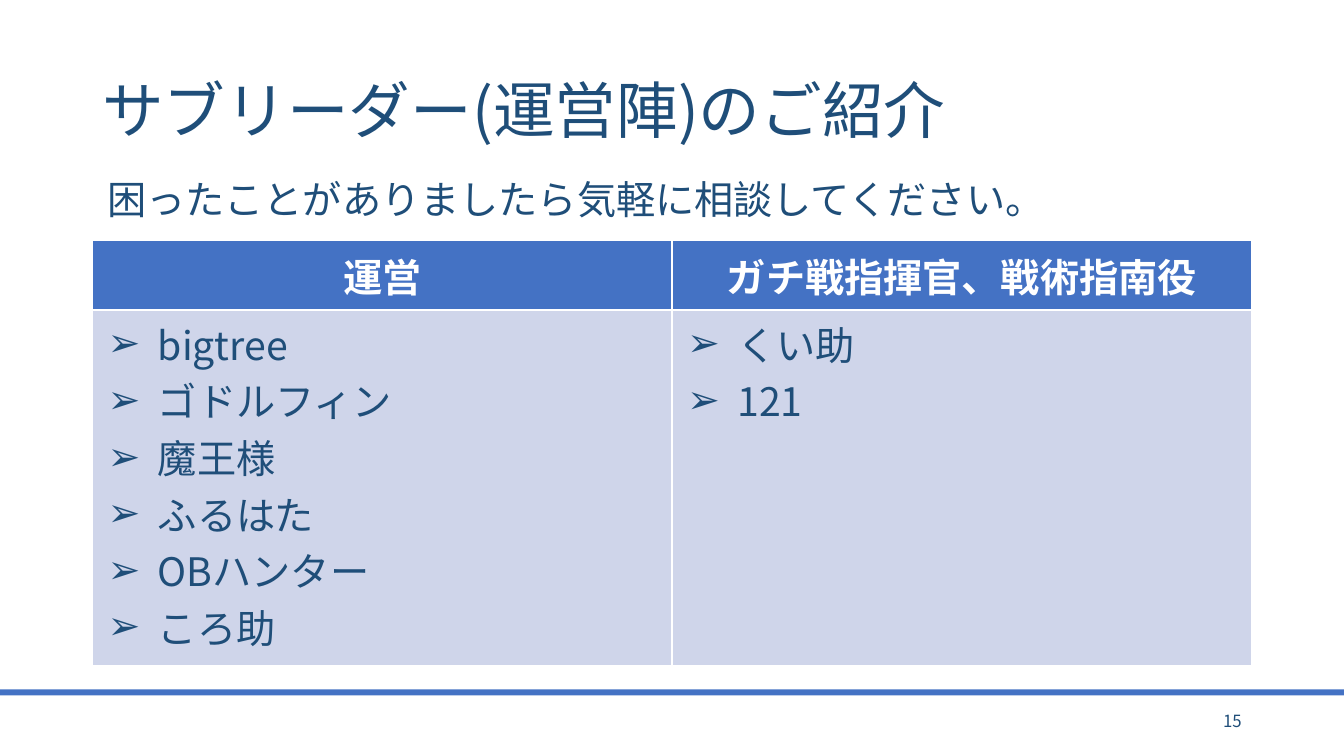
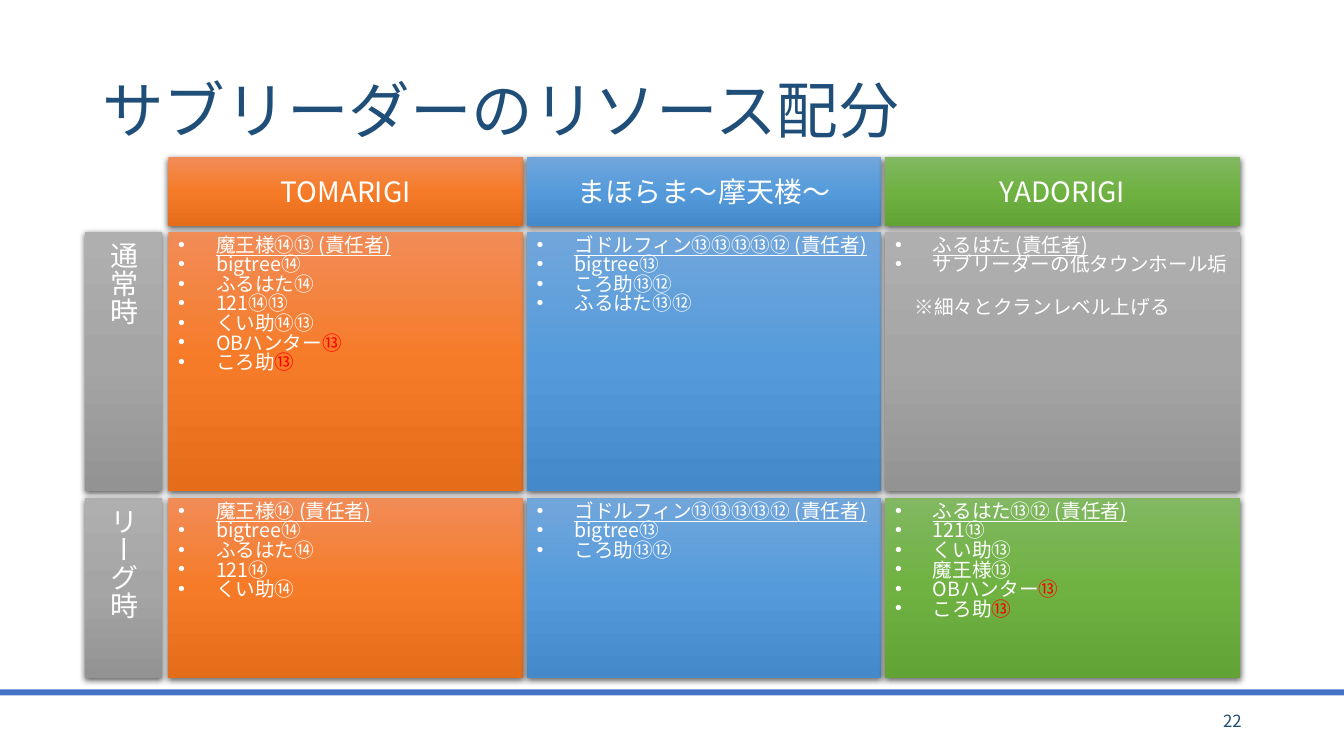
"""Build two slides on the sub-leaders of a clan and their duties."""
from dataclasses import dataclass

from pptx import Presentation
from pptx.dml.color import RGBColor as Rgb
from pptx.enum.shapes import MSO_SHAPE as Kind
from pptx.enum.text import MSO_ANCHOR as Anchor, PP_ALIGN as Align
from pptx.oxml import parse_xml as to_xml
from pptx.oxml.ns import nsdecls, qn
from pptx.util import Pt
from lxml.etree import SubElement as Sub

FONT = "Noto Sans CJK JP"
INK = {"navy": "1F4E79", "blue": "4472C4", "pale": "CFD5EA", "white": "FFFFFF",
       "red": "FF0000", "black": "000000"}
BLEND = {"orange": ("F18C57", "F67B28", "E56C19"), "sky": ("71A6DB", "559BDB", "448ACA"),
         "green": ("81B861", "6FB242", "62A336"), "gray": ("AFAFAF", "A5A5A5", "939393")}


@dataclass
class Box:
    left: float
    top: float
    width: float
    height: float

    def emu(self) -> tuple:
        return Pt(self.left), Pt(self.top), Pt(self.width), Pt(self.height)


@dataclass
class Card:
    tint: str
    names: tuple
    note: str = ""


@dataclass
class Row:
    label: str
    top: float
    height: float
    cards: tuple


def put(frame, text: str, size: float = 28, ink: str = "navy", bold: bool = False,
        under: bool = False, align=Align.LEFT, bullet: str = "", left: float = 0,
        hang: float = 0, line: float = 1.0, before: float = 0) -> None:
    """Add one paragraph; the part after a bar is red."""
    first = frame.paragraphs[0]
    para = frame.add_paragraph() if first.runs else first
    para.alignment, para.line_spacing, para.space_before = align, line, Pt(before)
    props = para._p.get_or_add_pPr()
    props.set("marL", str(Pt(left)))
    props.set("indent", str(Pt(-hang)))
    if bullet:
        Sub(props, qn("a:buFont"), typeface="Arial")
        Sub(props, qn("a:buChar"), char=bullet)
    for part, tone in zip(text.split("|"), (ink, "red")):
        run = para.add_run()
        run.text = part
        font = run.font
        font.size, font.name, font.bold, font.underline = Pt(size), FONT, bold, under
        font.color.rgb = Rgb.from_string(INK[tone])
        Sub(run._r.rPr, qn("a:ea"), typeface=FONT)


def write(slide, box: Box, text: str, anchor=Anchor.MIDDLE, **form) -> None:
    """Place a text box."""
    frame = slide.shapes.add_textbox(*box.emu()).text_frame
    frame.word_wrap, frame.vertical_anchor = True, anchor
    put(frame, text, **form)


def panel(slide, box: Box, tint: str, anchor=Anchor.MIDDLE):
    """Draw a shaded panel and return its text frame."""
    shape = slide.shapes.add_shape(Kind.RECTANGLE, *box.emu())
    stops = "".join(f'<a:gs pos="{spot * 50000}"><a:srgbClr val="{tone}"/></a:gs>'
                    for spot, tone in enumerate(BLEND[tint]))
    props = shape._element.spPr
    props.append(to_xml(f'<a:gradFill {nsdecls("a")} rotWithShape="1"><a:gsLst>{stops}</a:gsLst>'
                        '<a:lin ang="5400000" scaled="0"/></a:gradFill>'))
    shape.line.fill.background()
    props.append(to_xml(f'<a:effectLst {nsdecls("a")}><a:outerShdw blurRad="{Pt(4.5)}" '
                        f'dist="{Pt(1.5)}" dir="5400000" algn="ctr" rotWithShape="0">'
                        f'<a:srgbClr val="{INK["black"]}"><a:alpha val="63000"/></a:srgbClr>'
                        '</a:outerShdw></a:effectLst>'))
    frame = shape.text_frame
    frame.word_wrap, frame.vertical_anchor = True, anchor
    return frame


def start(deck, title: str, page: int):
    """Add a slide with its title, band and page number."""
    slide = deck.slides.add_slide(deck.slide_layouts[6])
    band = slide.shapes.add_shape(Kind.RECTANGLE, *Box(0, 492.5, 960, 4.3).emu())
    band.shadow.inherit = False
    band.fill.solid()
    band.fill.fore_color.rgb = Rgb.from_string(INK["blue"])
    band.line.fill.background()
    write(slide, Box(66, 28.8, 828, 104.4), title, size=44, line=0.9)
    write(slide, Box(678, 500.5, 216, 28.8), str(page), size=12, align=Align.RIGHT)
    return slide


def staff(deck) -> None:
    """Build the slide that presents the sub-leaders."""
    slide = start(deck, "サブリーダー(運営陣)のご紹介", 15)
    write(slide, Box(66, 125.3, 828, 44), "困ったことがありましたら気軽に相談してください。",
          Anchor.TOP, line=0.9, before=10, left=3.6)
    teams = {"運営": ("bigtree", "ゴドルフィン", "魔王様", "ふるはた", "OBハンター", "ころ助"),
             "ガチ戦指揮官、戦術指南役": ("くい助", "121")}
    table = slide.shapes.add_table(2, len(teams), *Box(66, 171.4, 828, 304).emu()).table
    table.rows[0].height, table.rows[1].height = Pt(50), Pt(254)
    for col, (team, names) in enumerate(teams.items()):
        head, body = table.cell(0, col), table.cell(1, col)
        for cell, tone in ((head, "blue"), (body, "pale")):
            cell.fill.solid()
            cell.fill.fore_color.rgb = Rgb.from_string(INK[tone])
        head.vertical_anchor = Anchor.MIDDLE
        put(head.text_frame, team, ink="white", bold=True, align=Align.CENTER)
        for name in names:
            put(body.text_frame, name, bullet="➢", left=39.6, hang=36)


def duty(deck) -> None:
    """Build the slide that shares out the sub-leaders."""
    slide = start(deck, "サブリーダーのリソース配分", 22)
    clans = {"TOMARIGI": "orange", "まほらま〜摩天楼〜": "sky", "YADORIGI": "green"}
    rows = (
        Row("通常時", 165.6, 185, (
            Card("orange", ("魔王様⑭⑬ (責任者)", "bigtree⑭", "ふるはた⑭", "121⑭⑬", "くい助⑭⑬",
                            "OBハンター|⑬", "ころ助|⑬")),
            Card("sky", ("ゴドルフィン⑬⑬⑬⑬⑫ (責任者)", "bigtree⑬", "ころ助⑬⑫", "ふるはた⑬⑫")),
            Card("gray", ("ふるはた (責任者)", "サブリーダーの低タウンホール垢"),
                 "※細々とクランレベル上げる"))),
        Row("リーグ時", 355.6, 129, (
            Card("orange", ("魔王様⑭ (責任者)", "bigtree⑭", "ふるはた⑭", "121⑭", "くい助⑭")),
            Card("sky", ("ゴドルフィン⑬⑬⑬⑬⑫ (責任者)", "bigtree⑬", "ころ助⑬⑫")),
            Card("green", ("ふるはた⑬⑫ (責任者)", "121⑬", "くい助⑬", "魔王様⑬",
                           "OBハンター|⑬", "ころ助|⑬")))))
    left, width, step = 120.2, 253.4, 256
    big = {"size": 20, "ink": "white", "align": Align.CENTER}
    small = {"size": 14, "ink": "white", "line": 0.83}
    for col, (clan, tint) in enumerate(clans.items()):
        put(panel(slide, Box(left + col * step, 112.3, width, 49), tint), clan, **big)
    for row in rows:
        label = panel(slide, Box(60.5, row.top, 55.4, row.height), "gray")
        label._txBody.bodyPr.set("vert", "eaVert")
        put(label, row.label, **big)
        for col, card in enumerate(row.cards):
            box = Box(left + col * step, row.top, width, row.height)
            frame = panel(slide, box, card.tint, Anchor.TOP)
            for rank, name in enumerate(card.names):
                put(frame, name, under=rank == 0, bullet="•", left=27, hang=27, **small)
            if card.note:
                put(frame, card.note, left=14, before=16.8, **small)


deck = Presentation()
deck.slide_width, deck.slide_height = Pt(960), Pt(540)
staff(deck)
duty(deck)
deck.save("out.pptx")
